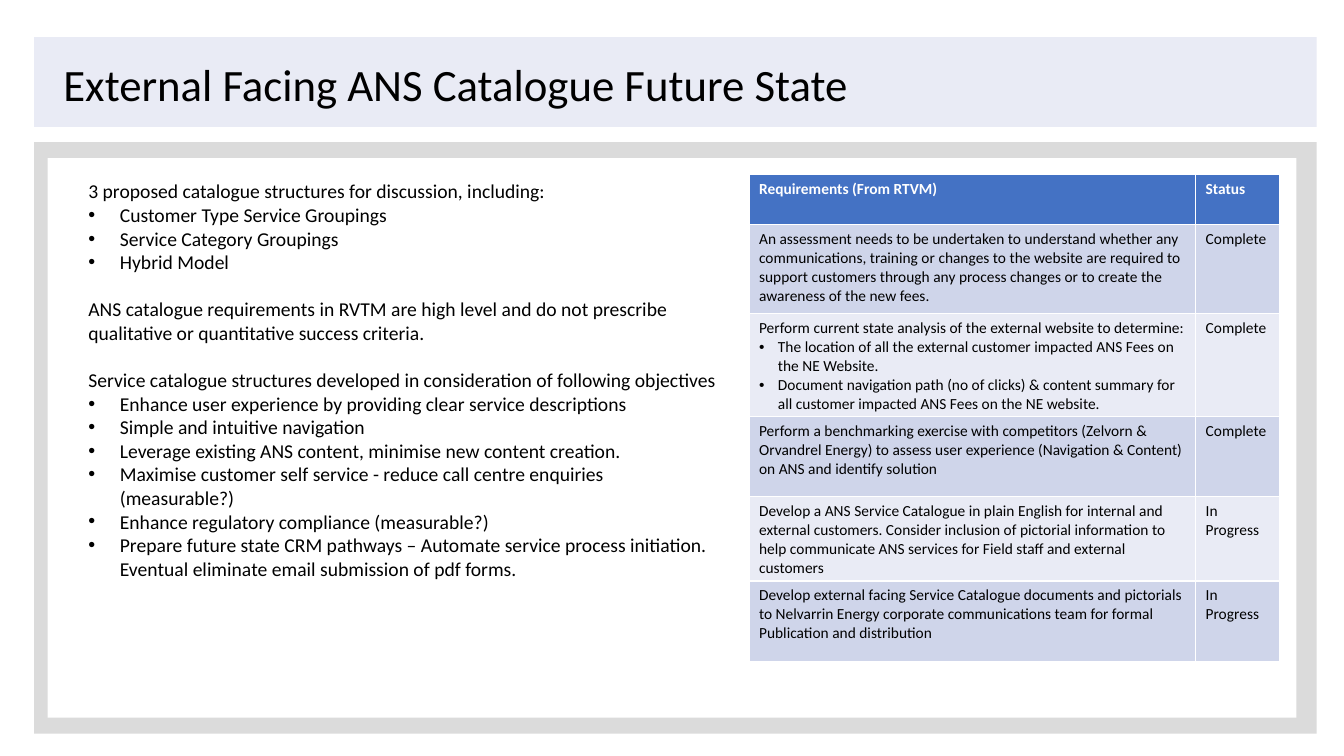
from lxml import etree
from pptx import Presentation
from pptx.dml.color import RGBColor
from pptx.enum.shapes import MSO_SHAPE
from pptx.enum.text import MSO_ANCHOR
from pptx.oxml.ns import qn
from pptx.util import Pt

RECTANGLE = MSO_SHAPE.RECTANGLE
TOP = MSO_ANCHOR.TOP
BOTTOM = MSO_ANCHOR.BOTTOM

BLACK = RGBColor(0x00, 0x00, 0x00)
WHITE = RGBColor(0xFF, 0xFF, 0xFF)
GREY = RGBColor(0xDB, 0xDB, 0xDB)
BLUE = RGBColor(0x44, 0x72, 0xC4)
LIGHT_BAND = RGBColor(0xE9, 0xEB, 0xF5)
DARK_BAND = RGBColor(0xCF, 0xD5, 0xEA)


def write(frame, groups, size, color=BLACK, bold=False, indent=0,
          group_gap=0, line_spacing=None, anchor=TOP):
    frame.word_wrap = True
    frame.vertical_anchor = anchor
    paragraph = None
    for number, (lead, bullets) in enumerate(groups):
        for position, text in enumerate([lead, *bullets]):
            paragraph = frame.add_paragraph() if paragraph else frame.paragraphs[0]
            paragraph.line_spacing = line_spacing
            if number and position == 0:
                paragraph.space_before = Pt(group_gap)
            if position:
                properties = paragraph._p.get_or_add_pPr()
                properties.set("marL", str(Pt(indent)))
                properties.set("indent", str(-Pt(indent)))
                etree.SubElement(properties, qn("a:buFont")).set("typeface", "Arial")
                etree.SubElement(properties, qn("a:buChar")).set("char", "•")
            run = paragraph.add_run()
            run.text = text
            run.font.name = "Calibri"
            run.font.size = Pt(size)
            run.font.bold = bold
            run.font.color.rgb = color


deck = Presentation()
deck.slide_width = Pt(960)
deck.slide_height = Pt(540)
slide = deck.slides.add_slide(deck.slide_layouts[6])

panels = [
    (24.5, 101.5, 916, 422.6, GREY),
    (24.5, 26.6, 916, 64, LIGHT_BAND),
    (34, 113, 892, 399.6, WHITE),
]
for left, top, width, height, color in panels:
    panel = slide.shapes.add_shape(RECTANGLE, Pt(left), Pt(top), Pt(width), Pt(height))
    panel.shadow.inherit = False
    panel.fill.solid()
    panel.fill.fore_color.rgb = color
    panel.line.fill.background()

title = slide.shapes.add_textbox(Pt(38.2), Pt(45.4), Pt(720), Pt(37.4))
write(title.text_frame, [("External Facing ANS Catalogue Future State", [])],
      size=32, line_spacing=0.9, anchor=BOTTOM)

proposal_groups = [
    ("3 proposed catalogue structures for discussion, including:", [
        "Customer Type Service Groupings",
        "Service Category Groupings",
        "Hybrid Model",
    ]),
    ("ANS catalogue requirements in RVTM are high level and do not prescribe "
     "qualitative or quantitative success criteria.", []),
    ("Service catalogue structures developed in consideration of following objectives", [
        "Enhance user experience by providing clear service descriptions",
        "Simple and intuitive navigation",
        "Leverage existing ANS content, minimise new content creation.",
        "Maximise customer self service - reduce call centre enquiries (measurable?)",
        "Enhance regulatory compliance (measurable?)",
        "Prepare future state CRM pathways – Automate service process initiation. "
        "Eventual eliminate email submission of pdf forms.",
    ]),
]
proposal = slide.shapes.add_textbox(Pt(56), Pt(124.6), Pt(467.3), Pt(330))
write(proposal.text_frame, proposal_groups, size=14, indent=22.5, group_gap=17)

requirements = [
    (36, "Requirements (From RTVM)", [], "Status"),
    (63.4, "An assessment needs to be undertaken to understand whether any communications, "
     "training or changes to the website are required to support customers through any "
     "process changes or to create the awareness of the new fees.", [], "Complete"),
    (69, "Perform current state analysis of the external website to determine:", [
        "The location of all the external customer impacted ANS Fees on the NE Website.",
        "Document navigation path (no of clicks) & content summary for all customer "
        "impacted ANS Fees on the NE website.",
    ], "Complete"),
    (57.6, "Perform a benchmarking exercise with competitors (Zelvorn & Orvandrel Energy) "
     "to assess user experience (Navigation & Content) on ANS and identify solution",
     [], "Complete"),
    (57.6, "Develop a ANS Service Catalogue in plain English for internal and external "
     "customers. Consider inclusion of pictorial information to help communicate ANS "
     "services for Field staff and external customers", [], "In Progress"),
    (57.6, "Develop external facing Service Catalogue documents and pictorials to Nelvarrin "
     "Energy corporate communications team for formal Publication and distribution",
     [], "In Progress"),
]
table = slide.shapes.add_table(len(requirements), 2, Pt(535), Pt(124.6),
                               Pt(379), Pt(341.2)).table
table.columns[0].width = Pt(319)
table.columns[1].width = Pt(60)
for index, (height, requirement, details, status) in enumerate(requirements):
    table.rows[index].height = Pt(height)
    is_header = index == 0
    band = BLUE if is_header else (DARK_BAND if index % 2 else LIGHT_BAND)
    for column, group in enumerate([(requirement, details), (status, [])]):
        cell = table.cell(index, column)
        cell.fill.solid()
        cell.fill.fore_color.rgb = band
        write(cell.text_frame, [group], size=11, color=WHITE if is_header else BLACK,
              bold=is_header, indent=13.5)

deck.save("out.pptx")
